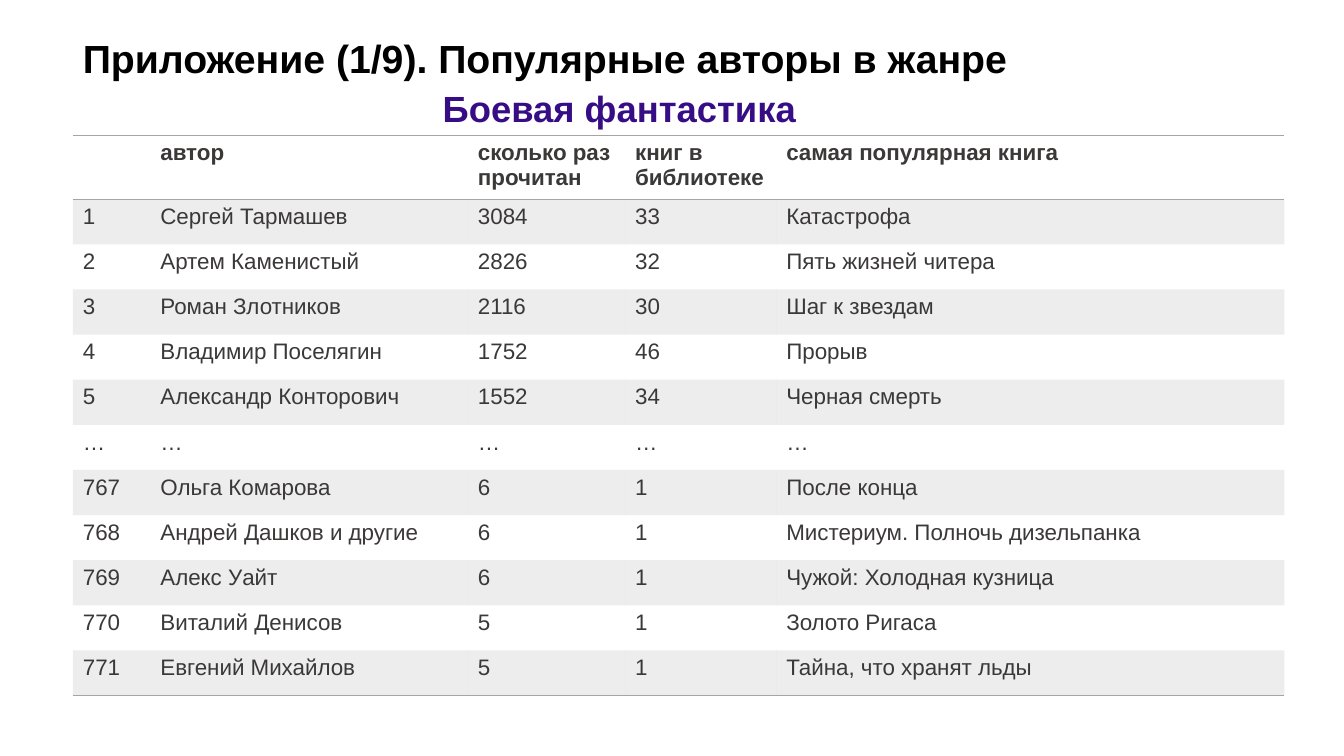
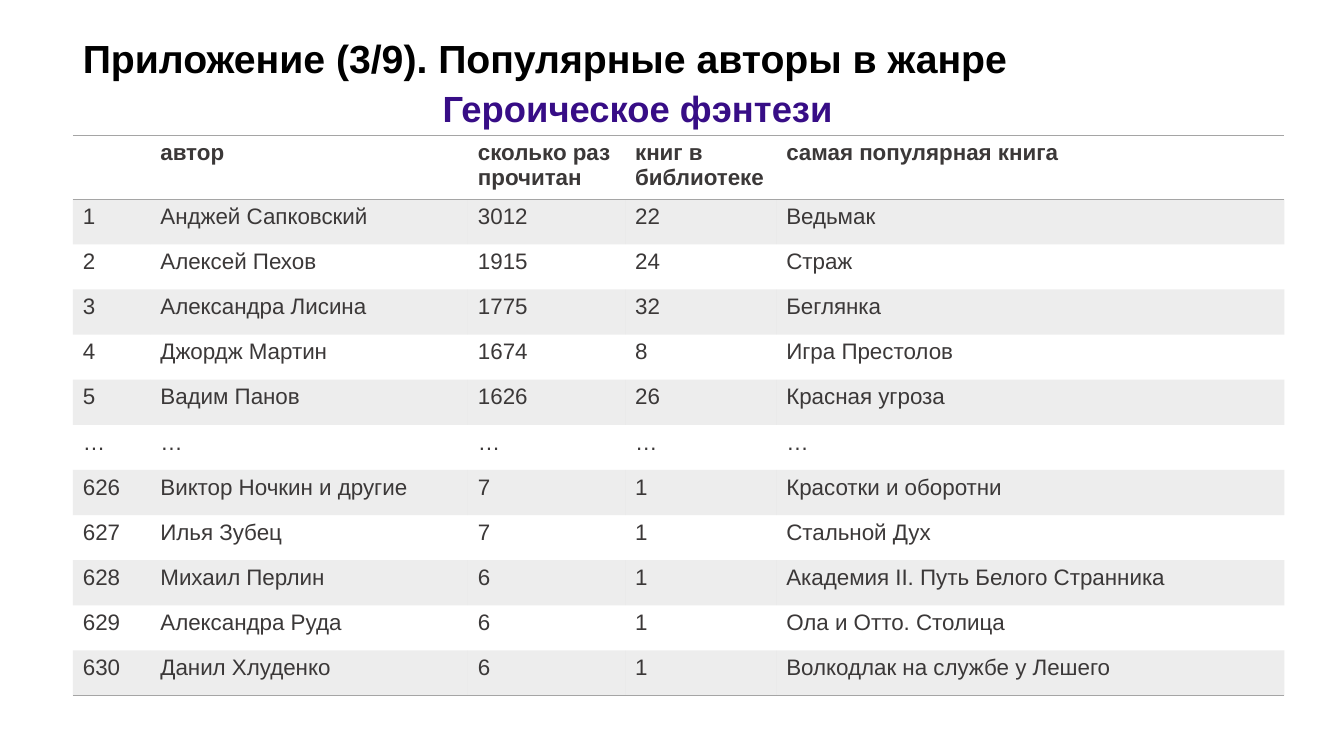
from dataclasses import dataclass

from lxml import etree
from pptx import Presentation
from pptx.dml.color import RGBColor
from pptx.enum.text import MSO_ANCHOR, MSO_AUTO_SIZE, PP_ALIGN
from pptx.oxml.ns import qn
from pptx.util import Pt

LEFT = PP_ALIGN.LEFT
MIDDLE = MSO_ANCHOR.MIDDLE
NO_AUTOSIZE = MSO_AUTO_SIZE.NONE
TITLE_ONLY = 5
NO_TABLE_STYLE = "{2D5ABB26-0587-4C30-8999-92F81FD0307C}"


@dataclass(frozen=True)
class Theme:
    font: str = "Arial"
    title: str = "000000"
    genre: str = "370D86"
    text: str = "3B3838"
    grey: str = "A5A5A5"
    band_alpha: int = 20
    title_size: int = 28
    genre_size: int = 26
    table_size: int = 16
    rule_width: int = 1


THEME = Theme()

# Boxes: left, top, width, height in points
SLIDE_SIZE = (960, 540)
HEADING_BOX = (52, 21, 742, 75)
TABLE_BOX = (52, 96.6, 865.4, 400.45)
GENRE_INDENT = 257
HEADER_HEIGHT = 45.7
COLUMN_WIDTHS = (55.4, 226.8, 112.3, 108, 362.9)

HEADINGS = ("", "автор", "сколько раз прочитан", "книг в библиотеке",
            "самая популярная книга")
GAP_ROW = ("…",) * len(HEADINGS)

GENRES = [
    ("1/9", "Боевая фантастика", [
        ("1", "Сергей Тармашев", "3084", "33", "Катастрофа"),
        ("2", "Артем Каменистый", "2826", "32", "Пять жизней читера"),
        ("3", "Роман Злотников", "2116", "30", "Шаг к звездам"),
        ("4", "Владимир Поселягин", "1752", "46", "Прорыв"),
        ("5", "Александр Конторович", "1552", "34", "Черная смерть"),
        GAP_ROW,
        ("767", "Ольга Комарова", "6", "1", "После конца"),
        ("768", "Андрей Дашков и другие", "6", "1", "Мистериум. Полночь дизельпанка"),
        ("769", "Алекс Уайт", "6", "1", "Чужой: Холодная кузница"),
        ("770", "Виталий Денисов", "5", "1", "Золото Ригаса"),
        ("771", "Евгений Михайлов", "5", "1", "Тайна, что хранят льды"),
    ]),
    ("3/9", "Героическое фэнтези", [
        ("1", "Анджей Сапковский", "3012", "22", "Ведьмак"),
        ("2", "Алексей Пехов", "1915", "24", "Страж"),
        ("3", "Александра Лисина", "1775", "32", "Беглянка"),
        ("4", "Джордж Мартин", "1674", "8", "Игра Престолов"),
        ("5", "Вадим Панов", "1626", "26", "Красная угроза"),
        GAP_ROW,
        ("626", "Виктор Ночкин и другие", "7", "1", "Красотки и оборотни"),
        ("627", "Илья Зубец", "7", "1", "Стальной Дух"),
        ("628", "Михаил Перлин", "6", "1", "Академия II. Путь Белого Странника"),
        ("629", "Александра Руда", "6", "1", "Ола и Отто. Столица"),
        ("630", "Данил Хлуденко", "6", "1", "Волкодлак на службе у Лешего"),
    ]),
]


def set_attributes(target, values):
    for name, value in values.items():
        setattr(target, name, value)


def style_font(font, size, color, bold):
    set_attributes(font, {"name": THEME.font, "size": Pt(size), "bold": bold})
    font.color.rgb = RGBColor.from_string(color)


def add_heading(slide, box, part, genre):
    """Title line with the genre indented below it."""
    heading = slide.shapes.title
    set_attributes(heading, dict(zip(("left", "top", "width", "height"), map(Pt, box))))
    frame = heading.text_frame
    set_attributes(frame, {"word_wrap": True, "auto_size": NO_AUTOSIZE,
                           "vertical_anchor": MIDDLE})
    lines = (
        (f"Приложение ({part}). Популярные авторы в жанре",
         THEME.title_size, THEME.title, 0, 0),
        (genre, THEME.genre_size, THEME.genre, GENRE_INDENT, 3),
    )
    frame.text = "\n".join(line[0] for line in lines)
    for paragraph, (_, size, color, indent, before) in zip(frame.paragraphs, lines):
        set_attributes(paragraph, {"alignment": LEFT, "space_before": Pt(before)})
        paragraph._p.get_or_add_pPr().set("marL", str(Pt(indent)))
        style_font(paragraph.runs[0].font, size, color, True)


def add_rules(cell, sides):
    """Grey borders, which stand before the fill in the cell properties."""
    properties = cell._tc.get_or_add_tcPr()
    for position, side in enumerate(sides):
        rule = etree.Element(qn(f"a:ln{side}"), w=str(Pt(THEME.rule_width)))
        fill = etree.SubElement(rule, qn("a:solidFill"))
        etree.SubElement(fill, qn("a:srgbClr"), val=THEME.grey)
        properties.insert(position, rule)


def fill_cell(cell, banded):
    if not banded:
        cell.fill.background()
        return
    cell.fill.solid()
    cell.fill.fore_color.rgb = RGBColor.from_string(THEME.grey)
    color = cell._tc.tcPr.find(".//" + qn("a:srgbClr"))
    etree.SubElement(color, qn("a:alpha"), val=str(THEME.band_alpha * 1000))


def add_author_table(slide, box, authors):
    """Ranking with a ruled header, grey bands and a closing rule."""
    rows = [HEADINGS, *authors]
    last = len(rows) - 1
    table = slide.shapes.add_table(len(rows), len(HEADINGS), *map(Pt, box)).table
    table.horz_banding = False
    table._tbl.tblPr.find(qn("a:tableStyleId")).text = NO_TABLE_STYLE

    # Grid
    for column, width in zip(table.columns, COLUMN_WIDTHS):
        column.width = Pt(width)
    row_height = (box[3] - HEADER_HEIGHT) / last
    for index, row in enumerate(table.rows):
        row.height = Pt(row_height if index else HEADER_HEIGHT)

    # Cells
    rules = {0: "TB", last: "B"}
    for index, values in enumerate(rows):
        for column, value in enumerate(values):
            cell = table.cell(index, column)
            cell.text = value
            style_font(cell.text_frame.paragraphs[0].font,
                       THEME.table_size, THEME.text, index == 0)
            fill_cell(cell, index % 2 == 1)
            add_rules(cell, rules.get(index, ""))


def add_genre_slide(deck, part, genre, authors):
    slide = deck.slides.add_slide(deck.slide_layouts[TITLE_ONLY])
    add_heading(slide, HEADING_BOX, part, genre)
    add_author_table(slide, TABLE_BOX, authors)


def main():
    deck = Presentation()
    deck.slide_width, deck.slide_height = map(Pt, SLIDE_SIZE)
    for part, genre, authors in GENRES:
        add_genre_slide(deck, part, genre, authors)
    deck.save("out.pptx")


if __name__ == "__main__":
    main()
